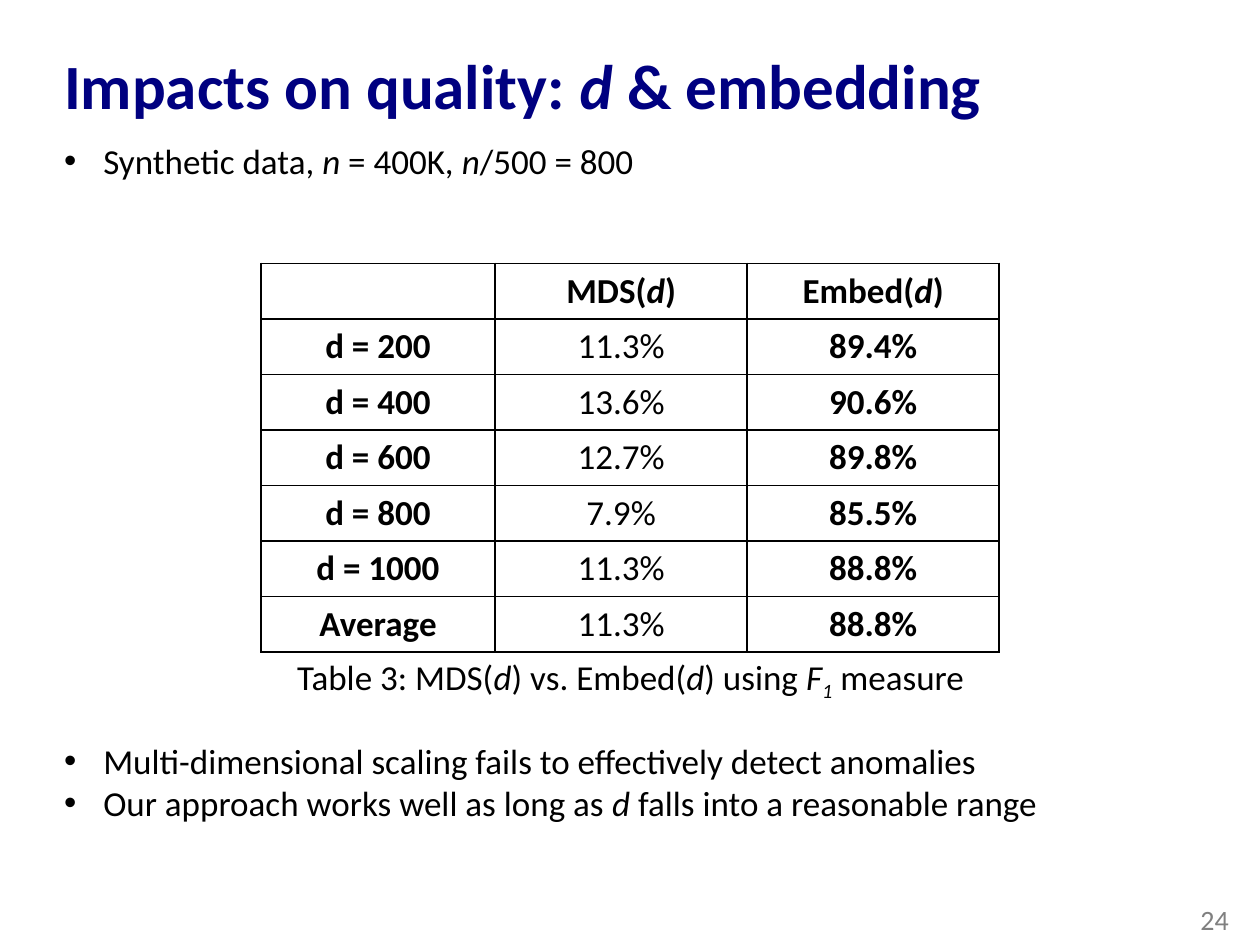
from lxml import etree
from pptx import Presentation
from pptx.dml.color import RGBColor
from pptx.enum.text import MSO_ANCHOR, MSO_AUTO_SIZE, PP_ALIGN
from pptx.oxml.ns import qn
from pptx.util import Inches, Pt

NAVY = RGBColor(0x00, 0x00, 0x80)
BLACK = RGBColor(0x00, 0x00, 0x00)
GRAY = RGBColor(0x80, 0x80, 0x80)
LEFT, CENTER, RIGHT = PP_ALIGN.LEFT, PP_ALIGN.CENTER, PP_ALIGN.RIGHT
TOP, MIDDLE = MSO_ANCHOR.TOP, MSO_ANCHOR.MIDDLE
NO_FIT = MSO_AUTO_SIZE.NONE


def add_runs(p, text, size=20, color=BLACK, bold=False):
    """Add text to a paragraph; parts between asterisks are italic."""
    for i, part in enumerate(text.split("*")):
        if part:
            r = p.add_run()
            r.text = part
            r.font.name = "Calibri"
            r.font.size = Pt(size)
            r.font.bold = bold
            r.font.italic = i % 2 == 1
            r.font.color.rgb = color
    return p.runs[-1]


def place(sp, left, top, width, height, anchor=TOP):
    sp.left, sp.top = Inches(left), Inches(top)
    sp.width, sp.height = Inches(width), Inches(height)
    tf = sp.text_frame
    tf.word_wrap = True
    tf.auto_size = NO_FIT
    tf.vertical_anchor = anchor
    return tf


prs = Presentation()
prs.slide_width, prs.slide_height = Inches(10), Inches(7.5)
s = prs.slides.add_slide(prs.slide_layouts[3])
title, intro, findings = s.placeholders

# Title
p = place(title, 0.41, 0.21, 9.18, 0.99, MIDDLE).paragraphs[0]
p.alignment = LEFT
p.line_spacing = 0.9
add_runs(p, "Impacts on quality: *d* & embedding", 36, NAVY, True)

# Bullet lists above and below the table
lists = [
    (intro, 1.06, 0.44, ["Synthetic data, *n* = 400K, *n*/500 = 800"]),
    (findings, 5.82, 0.77, [
        "Multi-dimensional scaling fails to effectively detect anomalies",
        "Our approach works well as long as *d* falls into a reasonable range",
    ]),
]
for sp, top, height, items in lists:
    tf = place(sp, 0.41, top, 9.18, height)
    for i, item in enumerate(items):
        p = tf.paragraphs[0] if i == 0 else tf.add_paragraph()
        p.space_before = Pt(0)
        pPr = p._p.get_or_add_pPr()
        pPr.set("marL", str(Inches(0.31)))
        pPr.set("indent", str(-Inches(0.31)))
        add_runs(p, item)

# Results table
rows = [
    ("", "MDS(*d*)", "Embed(*d*)"),
    ("d = 200", "11.3%", "89.4%"),
    ("d = 400", "13.6%", "90.6%"),
    ("d = 600", "12.7%", "89.8%"),
    ("d = 800", "7.9%", "85.5%"),
    ("d = 1000", "11.3%", "88.8%"),
    ("Average", "11.3%", "88.8%"),
]
ROW_HEIGHT = 0.44
table = s.shapes.add_table(len(rows), 3, Inches(2.07), Inches(2.09),
                           Inches(5.86), Inches(ROW_HEIGHT * len(rows))).table
table.first_row = table.horz_banding = False
for col, width in zip(table.columns, (1.86, 2, 2)):
    col.width = Inches(width)
for i, row in enumerate(rows):
    table.rows[i].height = Inches(ROW_HEIGHT)
    for j, text in enumerate(row):
        cell = table.cell(i, j)
        tcPr = cell._tc.get_or_add_tcPr()
        for side in ("a:lnL", "a:lnR", "a:lnT", "a:lnB"):
            ln = etree.SubElement(tcPr, qn(side), w=str(Pt(1)))
            fill = etree.SubElement(ln, qn("a:solidFill"))
            etree.SubElement(fill, qn("a:srgbClr"), val=str(BLACK))
        cell.fill.background()
        if text:
            p = cell.text_frame.paragraphs[0]
            p.alignment = CENTER
            add_runs(p, text, bold=i == 0 or j != 1)

# Table caption
sp = s.shapes.add_textbox(0, 0, 0, 0)
p = place(sp, 1.87, 5.15, 6.27, 0.44).paragraphs[0]
p.alignment = CENTER
add_runs(p, "Table 3: MDS(*d*) vs. Embed(*d*) using *F*")
subscript = add_runs(p, "*1*")
subscript.font._element.set("baseline", "-25000")
add_runs(p, " measure")

# Slide number
sp = s.shapes.add_textbox(0, 0, 0, 0)
p = place(sp, 7.6, 7.1, 2.25, 0.4, MIDDLE).paragraphs[0]
p.alignment = RIGHT
add_runs(p, "24", 16, GRAY)

prs.save("out.pptx")
